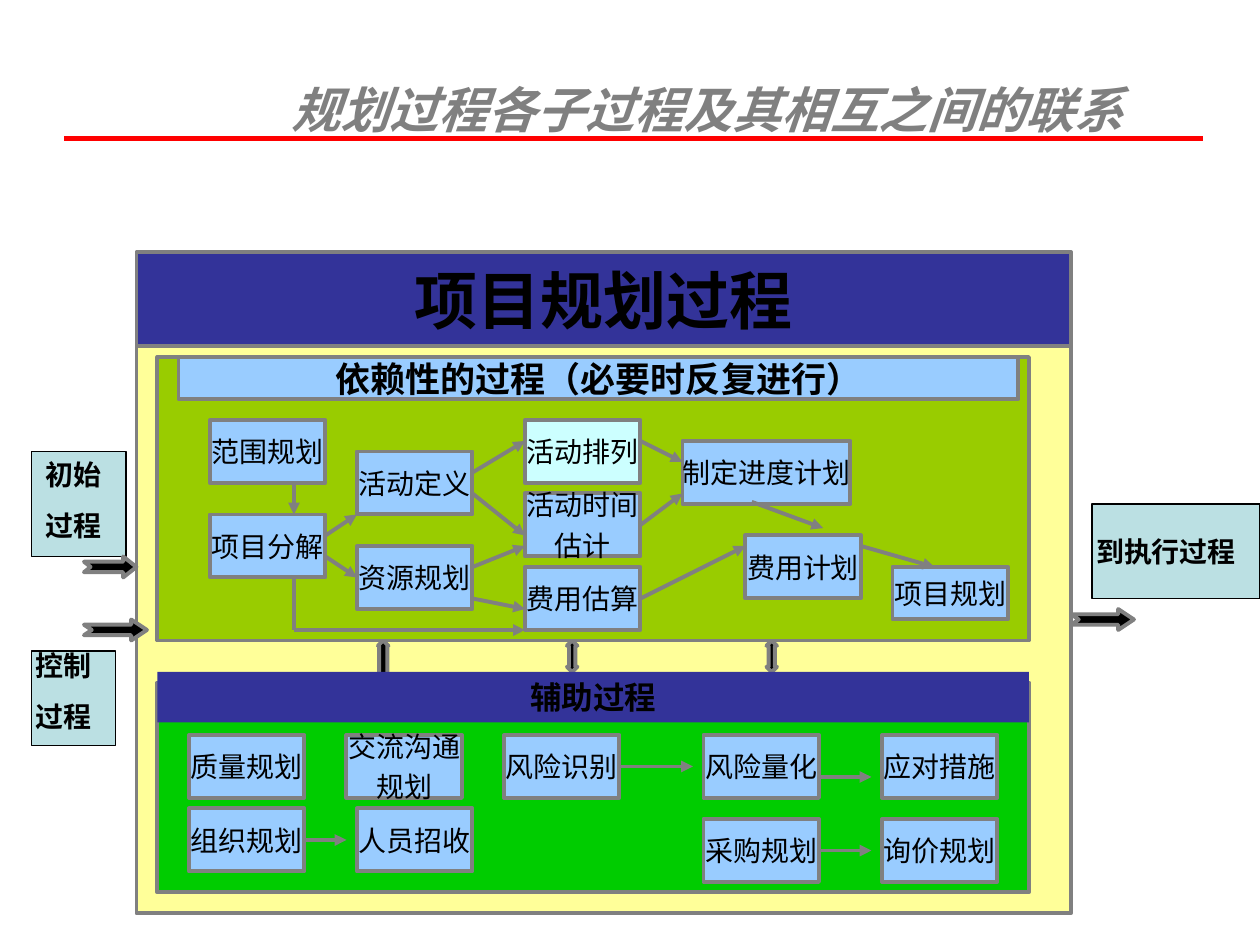
from dataclasses import dataclass

from pptx import Presentation
from pptx.dml.color import RGBColor
from pptx.enum.shapes import MSO_CONNECTOR, MSO_SHAPE
from pptx.enum.text import MSO_ANCHOR, PP_ALIGN
from pptx.oxml.ns import qn
from pptx.util import Inches, Length, Pt
from lxml.etree import SubElement

CELLS_PER_INCH = 12
GRAY, BLACK, NAVY, SKY, PALE_TEAL = "808080", "000000", "333399", "99CCFF", "BBE0E3"
SANS = "Montserrat"


@dataclass(frozen=True)
class TextStyle:
    size: float
    bold: bool = True
    font: str = SANS
    color: str = BLACK
    italic: bool = False
    gap: float = 0  # points between paragraphs


@dataclass(frozen=True)
class Block:
    column: float
    row: float
    columns: float
    rows: float
    fill: str
    line: str | None = GRAY
    line_width: float = 2.25
    text: str = ""
    style: TextStyle = TextStyle(16)
    preset: MSO_SHAPE = MSO_SHAPE.RECTANGLE
    adjustments: tuple[float, ...] = ()


@dataclass(frozen=True)
class Link:
    start: tuple[float, float]
    end: tuple[float, float]
    arrow: bool = True
    color: str = GRAY
    width: float = 2.25


STEP_STYLE = TextStyle(16, bold=False, gap=4)
LABEL_STYLE = TextStyle(16, gap=10)


def step(text: str, column: float, row: float, columns: float = 11,
         rows: float = 6, fill: str = SKY) -> Block:
    return Block(column, row, columns, rows, fill, text=text, style=STEP_STYLE)


def flow_arrow(column: float, row: float, columns: float, head: float) -> Block:
    return Block(column, row, columns, 2, BLACK,
                 preset=MSO_SHAPE.NOTCHED_RIGHT_ARROW, adjustments=(0.5, head))


def exchange_arrow(column: float, rows: float, head: float) -> Block:
    return Block(column, 61, 1, rows, BLACK,
                 preset=MSO_SHAPE.UP_DOWN_ARROW, adjustments=(0.5, head))


def side_box(column: float, row: float, columns: float, rows: float) -> Block:
    return Block(column, row, columns, rows, PALE_TEAL, BLACK, 0.75)


PANELS = [
    side_box(3, 62, 8, 9),
    side_box(3, 43, 9, 10),
    side_box(104, 48, 16, 9),
    Block(13, 28, 89, 59, "FFFF99"),
    Block(13, 24, 89, 9, NAVY, text="项目规划过程", style=TextStyle(36)),
    Block(15, 34, 83, 27, "99CC00"),
    Block(17, 34, 80, 4, SKY, text="依赖性的过程（必要时反复进行）", style=TextStyle(20)),
    Block(15, 65, 83, 20, "00CC00"),
]

STEPS = [
    # Dependent processes
    step("活动排列", 50, 40, fill="CCFFFF"),
    step("活动时间\n估计", 50, 47),
    step("费用估算", 50, 54),
    step("活动定义", 34, 43),
    step("资源规划", 34, 52),
    step("范围规划", 20, 40),
    step("项目分解", 20, 49),
    step("制定进度计划", 65, 42, columns=16),
    step("费用计划", 71, 51),
    step("项目规划", 85, 54, rows=5),
    # Supporting processes
    step("质量规划", 18, 70),
    step("组织规划", 18, 77),
    step("应对措施", 84, 70),
    step("风险量化", 67, 70),
    step("风险识别", 48, 70),
    step("交流沟通\n规划", 33, 70),
    step("询价规划", 84, 78),
    step("采购规划", 67, 78),
    step("人员招收", 34, 77),
]

LINKS = [
    Link((28, 46), (28, 49)),
    Link((31, 51), (34, 49)),
    Link((31, 53), (34, 55)),
    Link((45, 45), (50, 42)),
    Link((45, 47), (50, 51)),
    Link((45, 54), (50, 52)),
    Link((45, 57), (50, 58)),
    Link((28, 60), (50, 60)),
    Link((28, 55), (28, 60), arrow=False),
    Link((61, 42), (65, 44)),
    Link((61, 50), (65, 47)),
    Link((71.6, 47.8), (78.4, 50.3)),
    Link((61, 57), (71, 52)),
    Link((82, 52), (89, 54)),
    Link((29, 80), (33, 80)),
    Link((59, 73), (66, 73)),
    Link((78, 74), (83, 74)),
    Link((78, 81), (83, 81)),
]

BLOCK_ARROWS = [
    exchange_arrow(36, 4, 0.79),
    exchange_arrow(54, 3, 0.6),
    exchange_arrow(73, 3, 0.6),
    flow_arrow(8, 53, 5, 0.63),
    flow_arrow(8, 59, 6, 0.75),
    flow_arrow(102, 58, 6, 0.75),
]

# Text, column, row, columns, rows
LABELS = [
    ("初始\n过程", 3, 43, 8, 9.2),
    ("控制\n过程", 2.1, 61.2, 7.8, 9.2),
    ("到执行过程", 103.2, 50.3, 15.7, 4.4),
]

SUPPORT_HEADER = Block(15, 64, 83, 4.8, NAVY, None, text="辅助过程",
                       style=TextStyle(18, font="Times New Roman"))


def cells(count: float) -> Length:
    return Inches(count / CELLS_PER_INCH)


def rgb(color: str) -> RGBColor:
    return RGBColor.from_string(color)


def write_text(shape, text: str, style: TextStyle, wrap: bool = False) -> None:
    frame = shape.text_frame
    frame.text = text
    frame.word_wrap = wrap
    frame.vertical_anchor = MSO_ANCHOR.MIDDLE
    for index, paragraph in enumerate(frame.paragraphs):
        paragraph.alignment = PP_ALIGN.CENTER
        paragraph.space_before = Pt(style.gap if index else 0)
        font = paragraph.font
        font.name, font.size = style.font, Pt(style.size)
        font.bold, font.italic = style.bold, style.italic
        font.color.rgb = rgb(style.color)


def draw_block(slide, block: Block) -> None:
    shape = slide.shapes.add_shape(
        block.preset, cells(block.column), cells(block.row),
        cells(block.columns), cells(block.rows))
    for index, value in enumerate(block.adjustments):
        shape.adjustments[index] = value
    shape.shadow.inherit = False
    shape.fill.solid()
    shape.fill.fore_color.rgb = rgb(block.fill)
    if block.line:
        shape.line.color.rgb = rgb(block.line)
        shape.line.width = Pt(block.line_width)
    else:
        shape.line.fill.background()
    if block.text:
        write_text(shape, block.text, block.style)


def draw_link(slide, link: Link) -> None:
    connector = slide.shapes.add_connector(
        MSO_CONNECTOR.STRAIGHT, *map(cells, link.start + link.end))
    connector.line.color.rgb = rgb(link.color)
    connector.line.width = Pt(link.width)
    if link.arrow:
        SubElement(connector.line._get_or_add_ln(), qn("a:tailEnd"), type="triangle")
    SubElement(connector._element.spPr, qn("a:effectLst"))


def main() -> None:
    presentation = Presentation()
    presentation.slide_width, presentation.slide_height = Inches(10), Inches(7.5)
    slide = presentation.slides.add_slide(presentation.slide_layouts[5])

    # Title and its rule
    draw_link(slide, Link((6.1, 13.2), (114.6, 13.2), False, "FF0000", 3))
    title = slide.shapes.title
    title.left, title.top, title.width, title.height = map(cells, (20.9, 7, 93, 6.8))
    write_text(title, "规划过程各子过程及其相互之间的联系",
               TextStyle(28, font="Arial", color=GRAY, italic=True), wrap=True)

    # Diagram, back to front
    for block in PANELS + STEPS:
        draw_block(slide, block)
    for link in LINKS:
        draw_link(slide, link)
    for block in BLOCK_ARROWS:
        draw_block(slide, block)
    for text, *place in LABELS:
        write_text(slide.shapes.add_textbox(*map(cells, place)), text, LABEL_STYLE)
    draw_block(slide, SUPPORT_HEADER)

    presentation.save("out.pptx")


if __name__ == "__main__":
    main()
